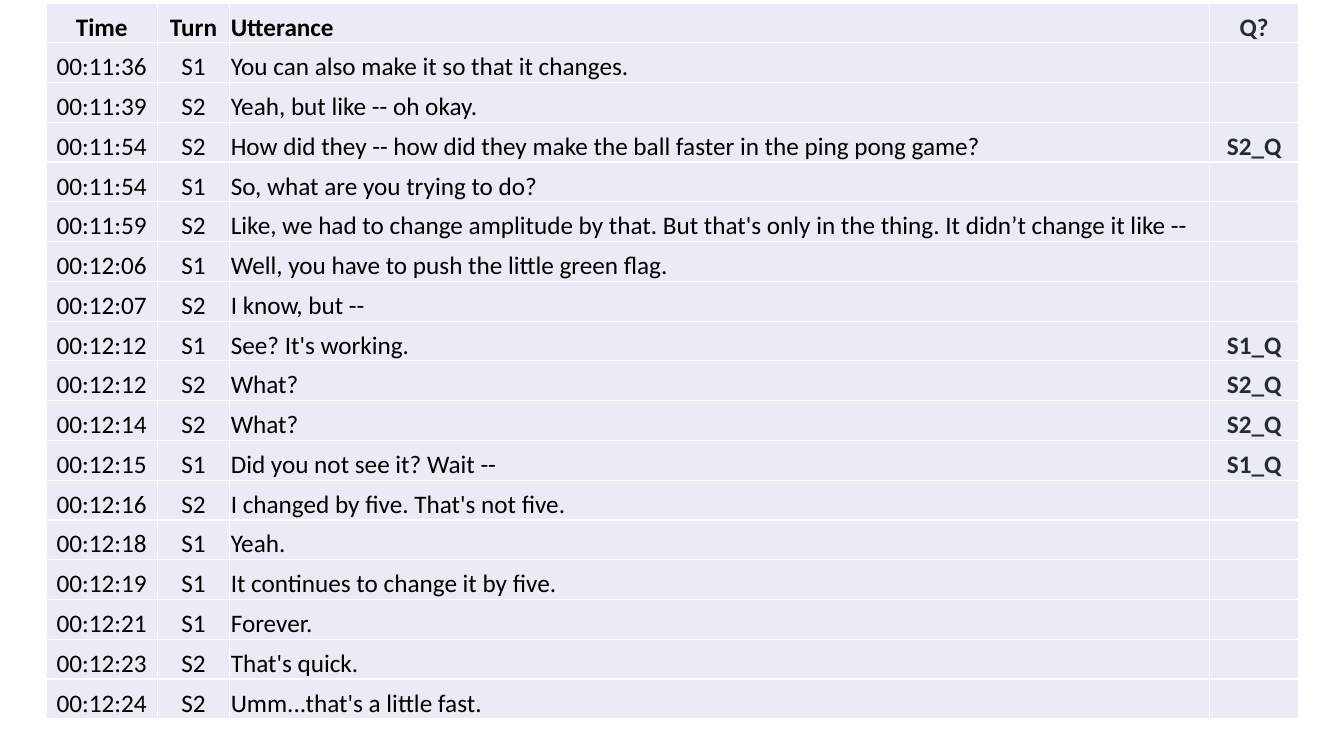
from dataclasses import dataclass

from lxml import etree
from pptx import Presentation
from pptx import util as u
from pptx.dml.color import RGBColor
from pptx.enum import text
from pptx.oxml import ns
from pptx.table import _Cell as Cell

WIDTH, HEIGHT = u.Inches(13.33), u.Inches(7.5)
LEFT, TOP, ROW = 3.45, 0.4, 5.26  # percent of the slide
FONT, SIZE = "Calibri", 18
FILL, RULE, INK, SLATE = "E9EBF5", "FFFFFF", "000000", "252C2F"


@dataclass(frozen=True)
class Column:
    """A table column; share is a percentage of the slide width."""
    title: str
    share: float
    align: text.PP_ALIGN = text.PP_ALIGN.CENTER
    ink: str = INK
    bold: bool = False


@dataclass(frozen=True)
class Turn:
    time: str
    who: str
    words: str
    asks: bool = False

    def cells(self) -> list[str]:
        return [self.time, self.who, self.words, f"{self.who}_Q" if self.asks else ""]


COLUMNS = [
    Column("Time", 8.25),
    Column("Turn", 5.4),
    Column("Utterance", 72.92, text.PP_ALIGN.LEFT),
    Column("Q?", 6.6, ink=SLATE, bold=True),
]

TURNS = [
    Turn("00:11:36", "S1", "You can also make it so that it changes."),
    Turn("00:11:39", "S2", "Yeah, but like -- oh okay."),
    Turn("00:11:54", "S2", "How did they -- how did they make the ball faster in the ping pong game?", True),
    Turn("00:11:54", "S1", "So, what are you trying to do?"),
    Turn("00:11:59", "S2", "Like, we had to change amplitude by that. But that's only in the thing. "
         "It didn’t change it like --"),
    Turn("00:12:06", "S1", "Well, you have to push the little green flag."),
    Turn("00:12:07", "S2", "I know, but --"),
    Turn("00:12:12", "S1", "See? It's working.", True),
    Turn("00:12:12", "S2", "What?", True),
    Turn("00:12:14", "S2", "What?", True),
    Turn("00:12:15", "S1", "Did you not see it? Wait --", True),
    Turn("00:12:16", "S2", "I changed by five. That's not five."),
    Turn("00:12:18", "S1", "Yeah."),
    Turn("00:12:19", "S1", "It continues to change it by five."),
    Turn("00:12:21", "S1", "Forever."),
    Turn("00:12:23", "S2", "That's quick."),
    Turn("00:12:24", "S2", "Umm...that's a little fast."),
]


def across(share: float) -> int:
    return round(WIDTH * share / 100)


def down(share: float) -> int:
    return round(HEIGHT * share / 100)


def color(code: str) -> RGBColor:
    return RGBColor.from_string(code)


def edge(cell: Cell) -> None:
    """Rule all four sides of a cell; call before setting its fill."""
    props = cell._tc.get_or_add_tcPr()
    for side in ("lnL", "lnR", "lnT", "lnB"):
        line = etree.SubElement(props, ns.qn(f"a:{side}"), w=str(u.Pt(1)))
        fill = etree.SubElement(line, ns.qn("a:solidFill"))
        etree.SubElement(fill, ns.qn("a:srgbClr"), val=RULE)


def write(cell: Cell, words: str, column: Column, bold: bool) -> None:
    edge(cell)
    cell.fill.solid()
    cell.fill.fore_color.rgb = color(FILL)
    cell.margin_left = cell.margin_right = cell.margin_top = u.Inches(0.01)
    cell.margin_bottom = 0
    cell.vertical_anchor = text.MSO_ANCHOR.BOTTOM
    if not words:
        return
    cell.text_frame.text = words
    line = cell.text_frame.paragraphs[0]
    line.alignment = column.align
    font = line.runs[0].font
    font.name, font.size, font.bold = FONT, u.Pt(SIZE), bold
    font.color.rgb = color(column.ink)


def main() -> None:
    deck = Presentation()
    deck.slide_width, deck.slide_height = WIDTH, HEIGHT
    slide = deck.slides.add_slide(deck.slide_layouts[6])

    lines = [[column.title for column in COLUMNS]] + [turn.cells() for turn in TURNS]
    span = sum(column.share for column in COLUMNS)
    table = slide.shapes.add_table(
        len(lines), len(COLUMNS), across(LEFT), down(TOP),
        across(span), down(ROW * len(lines))).table
    table.horz_banding = False

    for slot, column in zip(table.columns, COLUMNS):
        slot.width = across(column.share)
    for y, line in enumerate(lines):
        table.rows[y].height = down(ROW)
        for x, (words, column) in enumerate(zip(line, COLUMNS)):
            write(table.cell(y, x), words, column, y == 0 or column.bold)

    deck.save("out.pptx")


if __name__ == "__main__":
    main()
